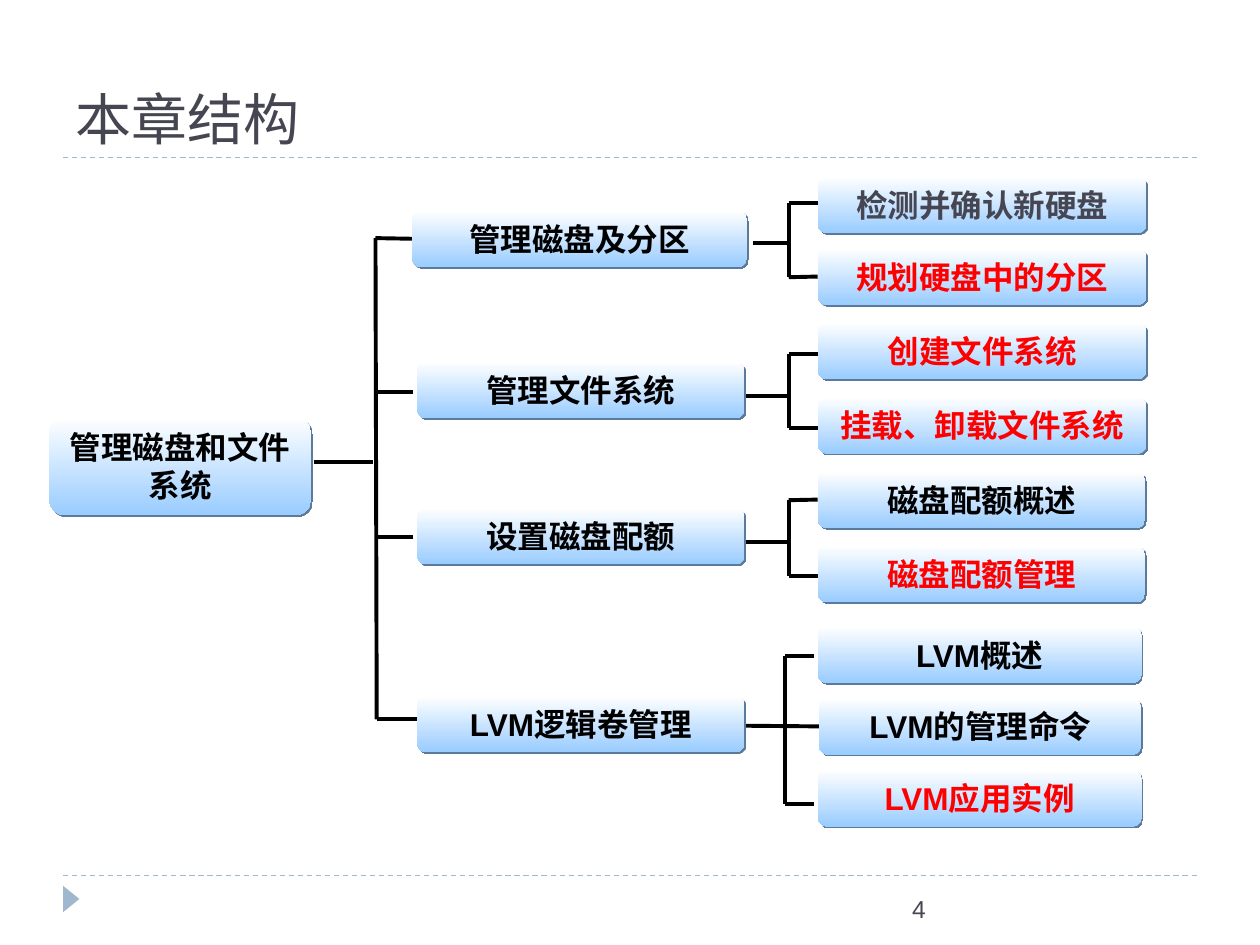
from lxml.etree import SubElement
from pptx import Presentation
from pptx.dml.color import RGBColor
from pptx.enum.dml import MSO_LINE
from pptx.enum.shapes import MSO_CONNECTOR, MSO_SHAPE
from pptx.enum.text import MSO_ANCHOR, PP_ALIGN
from pptx.oxml import parse_xml
from pptx.oxml.ns import nsdecls, qn
from pptx.util import Pt

PX = 9144  # 100 px to the inch
HEX = {"ink": "464653", "black": "000000", "red": "FF0000", "rule": "9FB8CD",
       "white": "FFFFFF", "sky": "99CCFF", "shade": "5C7A99"}

TITLE = "本章结构"
PAGE = "4"
HIGH = 45
ROOT = ("管理磁盘和文件系统", (39, 331, 208, 78))
TRUNK = [(249, 367, 296, 367), (298, 189, 299, 571)]

# Branch: text, box (x, y, w), wire in and wire out (x1, x2, y), spine x, leaves
# Leaf: text, colour, box (x, y, w), wire (x2, y), None where the branch wire reaches it
BRANCHES = [
    ("管理磁盘及分区", (327, 167, 266), (298, 327, 189), (598, 626, 193), 626, [
        ("检测并确认新硬盘", "ink", (649, 140, 261), (650, 161)),
        ("规划硬盘中的分区", "red", (649, 197, 261), (650, 220))]),
    ("管理文件系统", (331, 287, 260), (299, 328, 311), (587, 626, 314), 626, [
        ("创建文件系统", "red", (649, 256, 261), (650, 281)),
        ("挂载、卸载文件系统", "red", (649, 315, 261), (650, 340))]),
    ("设置磁盘配额", (331, 403, 260), (299, 328, 426), (587, 626, 430), 626, [
        ("磁盘配额概述", "black", (649, 374, 260), (650, 397)),
        ("磁盘配额管理", "red", (649, 433, 260), (650, 457))]),
    ("LVM逻辑卷管理", (331, 552, 260), (299, 331, 571), (592, 650, 576), 623, [
        ("LVM概述", "black", (649, 497, 257), (646, 521)),
        ("LVM的管理命令", "black", (650, 554, 256), None),
        ("LVM应用实例", "red", (649, 611, 257), (646, 638))]),
]

deck = Presentation()
deck.slide_width, deck.slide_height = 1000 * PX, 750 * PX
slide = deck.slides.add_slide(deck.slide_layouts[6])
shapes = slide.shapes
boxes = []


def rgb(name):
    return RGBColor.from_string(HEX[name])


def scale(*nums):
    return [n * PX for n in nums]


def write(shape, text, size, font, color, anchor, align=PP_ALIGN.LEFT, bold=False):
    frame = shape.text_frame
    frame.word_wrap = True
    frame.vertical_anchor = anchor
    para = frame.paragraphs[0]
    para.alignment = align
    run = para.add_run()
    run.text = text
    run.font.size, run.font.name, run.font.bold = Pt(size), font, bold
    run.font.color.rgb = rgb(color)


def add_box(text, place, color="black"):
    box = shapes.add_shape(MSO_SHAPE.ROUNDED_RECTANGLE, *scale(*place))
    box.fill.gradient()
    box.fill.gradient_angle = 270
    for stop, name, spot in zip(box.fill.gradient_stops, ("white", "sky"), (0, 1)):
        stop.color.rgb, stop.position = rgb(name), spot
    box.line.fill.background()
    box._element.spPr.append(parse_xml(
        f'<a:effectLst {nsdecls("a")}><a:outerShdw blurRad="0" dist="17780" '
        f'dir="2700000" algn="tl" rotWithShape="0"><a:srgbClr val="{HEX["shade"]}"/>'
        '</a:outerShdw></a:effectLst>'))
    write(box, text, 18, "Arial", color, MSO_ANCHOR.MIDDLE, PP_ALIGN.CENTER, True)
    boxes.append(box)


def add_line(x1, y1, x2, y2, color="black", width=2.25):
    line = shapes.add_connector(MSO_CONNECTOR.STRAIGHT, *scale(x1, y1, x2, y2))
    line.line.color.rgb, line.line.width = rgb(color), Pt(width)
    SubElement(line._element.spPr, qn("a:effectLst"))
    return line


def wire(x1, y1, x2, y2):
    """Draw a wire behind the boxes and join it to a left side it meets."""
    line = add_line(x1, y1, x2, y2)
    for box in boxes:
        gaps = (box.left - x2 * PX, box.top + box.height / 2 - y2 * PX)
        if max(map(abs, gaps)) <= PX:
            line.end_connect(box, 1)
    shapes._spTree.insert(2, line._element)


# Frame: rules, marker, title, page number
for y in (695, 125):
    add_line(50, y, 950, y, "rule", 0.75).line.dash_style = MSO_LINE.DASH
mark = shapes.add_shape(MSO_SHAPE.ISOSCELES_TRIANGLE, *scale(46, 707, 21, 13))
mark.rotation = 90
mark.shadow.inherit = False
mark.fill.solid()
mark.fill.fore_color.rgb = rgb("rule")
mark.line.fill.background()
write(shapes.add_textbox(*scale(50, 17, 900, 108)), TITLE, 32,
      "TeX Gyre Bonum", "ink", MSO_ANCHOR.BOTTOM)
write(shapes.add_textbox(*scale(714, 705, 250, 40)), PAGE, 14,
      "Arial", "ink", MSO_ANCHOR.TOP)

# Boxes
add_box(*ROOT)
for text, place, _, _, _, leaves in BRANCHES:
    add_box(text, (*place, HIGH))
    for leaf, color, spot, _ in leaves:
        add_box(leaf, (*spot, HIGH), color)

# Wires
for ends in TRUNK:
    wire(*ends)
for _, _, into, out, spine, leaves in BRANCHES:
    for x1, x2, y in (into, out):
        wire(x1, y, x2, y)
    ties = [leaf[3] for leaf in leaves if leaf[3]]
    wire(spine, ties[0][1], spine, ties[-1][1])
    for x, y in ties:
        wire(spine, y, x, y)

deck.save("out.pptx")
